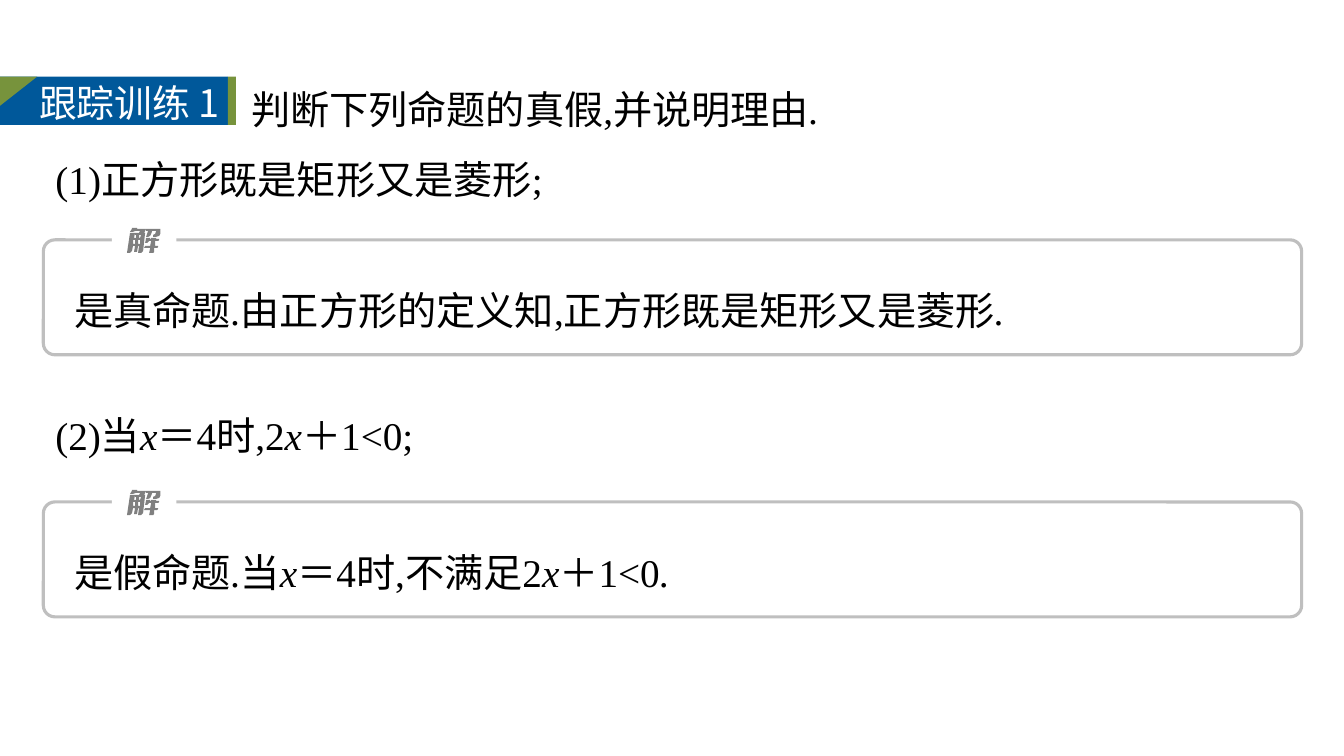
import itertools

import pptx
import pptx.dml.color
import pptx.enum.shapes
import pptx.enum.text
import pptx.oxml
import pptx.oxml.ns
import pptx.util
from pptx.util import Inches

SHAPE = pptx.enum.shapes.MSO_SHAPE
SERIF, SANS = "Times New Roman", "Noto Sans CJK SC"
COLORS = {"blue": "00589A", "green": "77933C", "gray": "BFBFBF",
          "glyph": "808080", "black": "000000", "white": "FFFFFF"}

SOLUTION_GLYPH = [
    [(11, 12), (11, 16), (13, 16), (13, 12)],
    [(6, 12), (6, 16), (8, 16), (8, 12)],
    [(25, 10), (29, 10), (29, 11), (32, 11), (32, 12), (31, 13), (28, 13),
     (28, 18), (31, 18), (31, 19), (30, 20), (27, 20), (27, 24), (26, 25),
     (22, 25), (23, 20), (17, 20), (18, 18), (23, 18), (24, 13), (22, 13),
     (20, 15), (18, 15), (19, 10), (23, 10), (23, 11), (24, 11), (24, 10)],
    [(12, 7), (12, 10), (13, 10), (14, 7)],
    [(20, 1), (33, 1), (33, 6), (32, 8), (29, 9), (26, 9), (26, 7), (28, 6),
     (29, 3), (25, 3), (24, 6), (23, 8), (21, 9), (19, 9), (21, 3), (19, 3),
     (19, 1)],
    [(5, 0), (10, 0), (10, 1), (19, 1), (17, 5), (18, 5), (16, 23), (14, 25),
     (11, 25), (12, 18), (11, 18), (10, 24), (7, 24), (8, 18), (6, 18),
     (5, 23), (3, 25), (0, 25), (3, 5), (8, 5), (7, 10), (9, 10), (9, 7),
     (8, 7), (8, 5), (12, 5), (13, 3), (9, 3), (6, 4), (3, 4), (5, 1)],
]


def rgb(name):
    """Return the named colour."""
    return pptx.dml.color.RGBColor.from_string(COLORS[name])


def write(p, text, size=28, font=SERIF, color="black", spacing=1.5, indent=0):
    """Write text into a paragraph, with *asterisks* around italic parts."""
    p.alignment = pptx.enum.text.PP_ALIGN.LEFT
    p.line_spacing = spacing
    pPr = p._p.get_or_add_pPr()
    pPr.set("marL", "0")
    pPr.set("indent", str(Inches(indent)))
    for i, part in enumerate(text.split("*")):
        for wide, chars in itertools.groupby(part, lambda c: c in "＝＋"):
            r = p.add_run()
            r.text = "".join(chars)
            r.font.size = pptx.util.Pt(size)
            r.font.name = SANS if wide else font
            r.font.italic = i % 2 == 1
            r.font.color.rgb = rgb(color)
            ea = pptx.oxml.parse_xml(
                f'<a:ea {pptx.oxml.ns.nsdecls("a")} typeface="{SANS}"/>')
            r.font._element.find(pptx.oxml.ns.qn("a:latin")).addnext(ea)


def set_frame(tf):
    """Make a text frame wrap and start at its top."""
    tf.word_wrap = True
    tf.auto_size = pptx.enum.text.MSO_AUTO_SIZE.NONE
    tf.vertical_anchor = pptx.enum.text.MSO_ANCHOR.TOP


def add_text(shapes, x, y, w, h, text, **fmt):
    """Add a one-paragraph text box."""
    tf = shapes.add_textbox(Inches(x), Inches(y), Inches(w), Inches(h)).text_frame
    set_frame(tf)
    write(tf.paragraphs[0], text, **fmt)


def paint(sp, fill=None, line=None):
    """Set fill and line of a shape and drop its shadow."""
    sp.shadow.inherit = False
    if fill:
        sp.fill.solid()
        sp.fill.fore_color.rgb = rgb(fill)
    else:
        sp.fill.background()
    if line:
        sp.line.color.rgb = rgb(line)
        sp.line.width = pptx.util.Pt(2.25)
    else:
        sp.line.fill.background()


def add_shape(shapes, kind, x, y, w, h, **style):
    """Add a painted preset shape."""
    sp = shapes.add_shape(kind, Inches(x), Inches(y), Inches(w), Inches(h))
    paint(sp, **style)
    return sp


def add_question(s, x, y, w, h, lines):
    """Put the task and its first part into the title placeholder."""
    sp = s.shapes.title
    sp.left, sp.top, sp.width, sp.height = map(Inches, (x, y, w, h))
    tf = sp.text_frame
    set_frame(tf)
    for i, text in enumerate(lines):
        p = tf.add_paragraph() if i else tf.paragraphs[0]
        write(p, text, indent=0 if i else 1.94)


def add_badge(s, x, y, w, h, text):
    """Draw the exercise badge."""
    shapes = s.shapes.add_group_shape().shapes
    add_shape(shapes, SHAPE.RECTANGLE, x, y, w, h, fill="blue")
    corner = add_shape(shapes, SHAPE.RIGHT_TRIANGLE, x, y, 0.37, 0.29, fill="green")
    corner._element.spPr.get_or_add_xfrm().set("flipV", "1")
    add_text(shapes, x + 0.29, y - 0.02, 2.13, h + 0.04, text,
             size=27, font=SANS, color="white", spacing=1.0)
    add_shape(shapes, SHAPE.RECTANGLE, x + w, y, 0.08, h, fill="green")


def add_solution(s, x, y, w, h, text):
    """Draw a framed solution with its heading glyph."""
    add_text(s.shapes, x + 0.21, y + 0.18, w - 0.42, 0.73, text)
    shapes = s.shapes.add_group_shape().shapes
    frame = add_shape(shapes, SHAPE.ROUNDED_RECTANGLE, x, y, w, h, line="gray")
    frame.adjustments[0] = 0.1
    add_shape(shapes, SHAPE.RECTANGLE, x + 0.68, y - 0.13, 0.64, 0.24, fill="white")
    first, *others = SOLUTION_GLYPH
    fb = shapes.build_freeform(*first[0], scale=Inches(0.01))
    fb.add_line_segments(first[1:])
    for contour in others:
        fb.move_to(*contour[0])
        fb.add_line_segments(contour[1:])
    paint(fb.convert_to_shape(Inches(x + 0.83), Inches(y - 0.12)), fill="glyph")


def main():
    """Build the slide and save it."""
    prs = pptx.Presentation()
    prs.slide_width, prs.slide_height = Inches(13.33), Inches(7.5)
    s = prs.slides.add_slide(prs.slide_layouts.get_by_name("Title Only"))
    add_question(s, 0.45, 0.56, 12.4, 1.44,
                 ["判断下列命题的真假,并说明理由*.*", "(1)正方形既是矩形又是菱形;"])
    add_badge(s, 0, 0.76, 2.26, 0.48, "跟踪训练 1")
    add_solution(s, 0.43, 2.38, 12.48, 1.14,
                 "是真命题*.*由正方形的定义知,正方形既是矩形又是菱形*.*")
    add_text(s.shapes, 0.45, 3.8, 12.4, 0.73, "(2)当*x*＝4时,2*x*＋1<0;")
    add_solution(s, 0.43, 4.98, 12.48, 1.14,
                 "是假命题*.*当*x*＝4时,不满足2*x*＋1<0*.*")
    prs.save("out.pptx")


if __name__ == "__main__":
    main()
